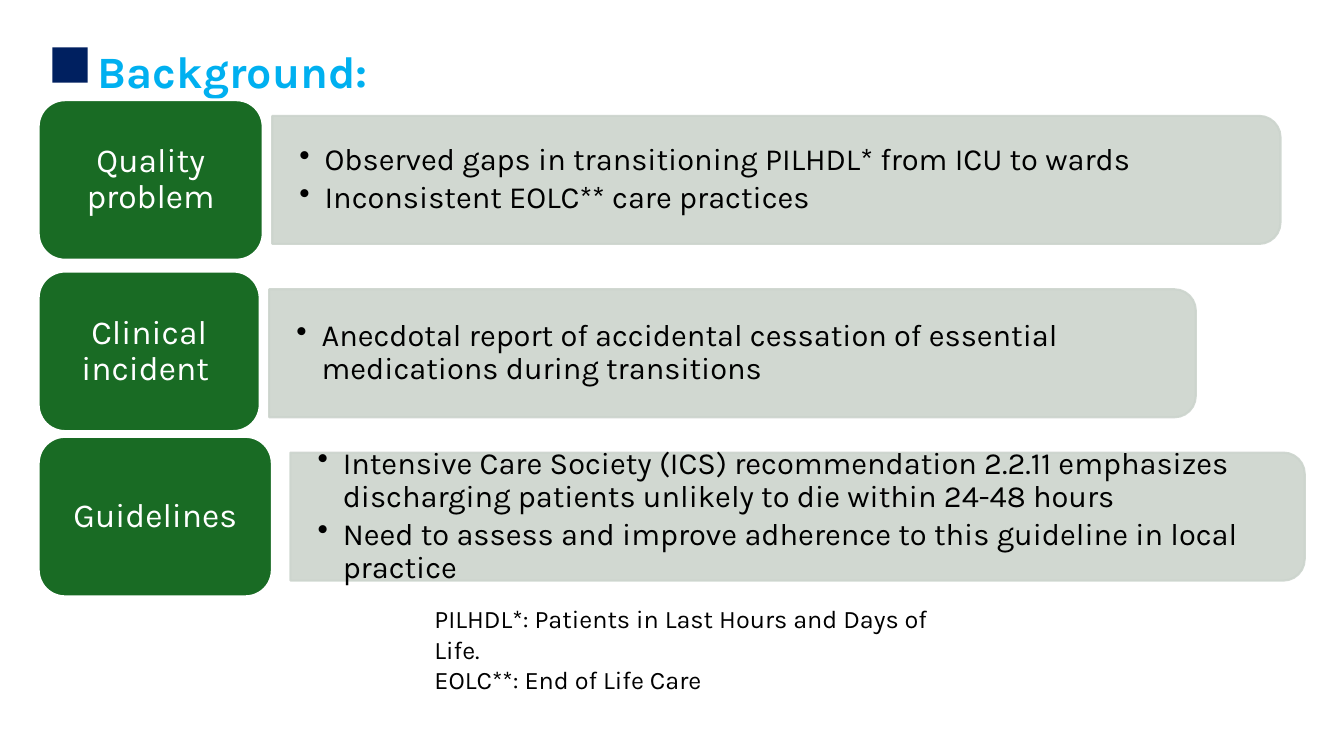
from lxml import etree
from pptx import Presentation
from pptx.dml.color import RGBColor
from pptx.enum import shapes, text
from pptx.oxml import ns
from pptx.util import Inches, Pt

NAVY = RGBColor(0x00, 0x20, 0x60)
SKY = RGBColor(0x00, 0xB0, 0xF0)
GREEN = RGBColor(0x19, 0x6B, 0x24)
SAGE = RGBColor(0xCC, 0xD4, 0xCD)
WHITE = RGBColor(0xFF, 0xFF, 0xFF)
BLACK = RGBColor(0x00, 0x00, 0x00)
FONT = "Karla"

TITLE = "Background:"
ROWS = [
    dict(label="Quality problem", label_top=0.99, label_width=2.23,
         panel=(2.7, 1.15, 10.0), text_width=9.94,
         points=["Observed gaps in transitioning PILHDL* from ICU to wards",
                 "Inconsistent EOLC** care practices"]),
    dict(label="Clinical incident ", label_top=2.69, label_width=2.2,
         panel=(2.67, 2.87, 9.19), text_width=9.13,
         points=["Anecdotal report of accidental cessation of essential "
                 "medications during transitions"]),
    dict(label="Guidelines", label_top=4.33, label_width=2.32,
         panel=(2.88, 4.49, 10.06), text_width=10.0,
         points=["Intensive Care Society (ICS) recommendation 2.2.11 emphasizes "
                 "discharging patients unlikely to die within 24-48 hours",
                 "Need to assess and improve adherence to this guideline in "
                 "local practice"]),
]
FOOTNOTES = ["PILHDL*: Patients in Last Hours and Days of Life.",
             "EOLC**: End of Life Care"]

LABEL_LEFT, LABEL_HEIGHT = 0.38, 1.59
PANEL_HEIGHT, TEXT_HEIGHT = 1.27, 1.15


def write(shape, lines, size, color, bold=False, align=text.PP_ALIGN.LEFT,
          anchor=text.MSO_ANCHOR.TOP, spacing=None, after=0, bullet=False,
          insets=(0.1, 0.05)):
    frame = shape.text_frame
    frame.word_wrap = True
    frame.vertical_anchor = anchor
    frame.margin_left = frame.margin_right = Inches(insets[0])
    frame.margin_top = frame.margin_bottom = Inches(insets[1])
    for index, line in enumerate(lines):
        paragraph = frame.add_paragraph() if index else frame.paragraphs[0]
        paragraph.alignment = align
        paragraph.line_spacing = spacing
        paragraph.space_after = Pt(after)
        if bullet:
            paragraph.level = 1
            properties = paragraph._p.get_or_add_pPr()
            properties.set("marL", str(Inches(0.25)))
            properties.set("indent", str(-Inches(0.25)))
            etree.SubElement(properties, ns.qn("a:buChar")).set("char", "•")
        run = paragraph.add_run()
        run.text = line
        run.font.size = Pt(size)
        run.font.name = FONT
        run.font.bold = bold
        run.font.color.rgb = color


def add_box(slide, left, top, width, height):
    return slide.shapes.add_textbox(Inches(left), Inches(top),
                                    Inches(width), Inches(height))


def add_block(slide, kind, left, top, width, height, fill, line=None, weight=0):
    shape = slide.shapes.add_shape(kind, Inches(left), Inches(top),
                                   Inches(width), Inches(height))
    shape.shadow.inherit = False
    shape.fill.solid()
    shape.fill.fore_color.rgb = fill
    if line is None:
        shape.line.fill.background()
    else:
        shape.line.color.rgb = line
        shape.line.width = Pt(weight)
    return shape


def add_panel(slide, left, top, width):
    center_x, center_y = left + width / 2, top + PANEL_HEIGHT / 2
    panel = add_block(slide, shapes.MSO_SHAPE.ROUND_2_SAME_RECTANGLE,
                      center_x - PANEL_HEIGHT / 2, center_y - width / 2,
                      PANEL_HEIGHT, width, SAGE, SAGE, 1.5)
    panel.rotation = 90
    for color in panel._element.spPr.iter(ns.qn("a:srgbClr")):
        etree.SubElement(color, ns.qn("a:alpha")).set("val", "90000")


def add_row(slide, row):
    left, top, width = row["panel"]
    add_panel(slide, left, top, width)
    points = add_box(slide, left, top + (PANEL_HEIGHT - TEXT_HEIGHT) / 2,
                     row["text_width"], TEXT_HEIGHT)
    write(points, row["points"], 22, BLACK, anchor=text.MSO_ANCHOR.MIDDLE,
          spacing=0.9, after=3.3, bullet=True, insets=(0.27, 0.14))
    label = add_block(slide, shapes.MSO_SHAPE.ROUNDED_RECTANGLE, LABEL_LEFT,
                      row["label_top"], row["label_width"], LABEL_HEIGHT,
                      GREEN, WHITE, 2)
    write(label, [row["label"]], 24, WHITE, align=text.PP_ALIGN.CENTER,
          anchor=text.MSO_ANCHOR.MIDDLE, spacing=0.9, after=8.4)


def main():
    presentation = Presentation()
    presentation.slide_width = Inches(13.33)
    presentation.slide_height = Inches(7.5)
    slide = presentation.slides.add_slide(presentation.slide_layouts[6])

    add_block(slide, shapes.MSO_SHAPE.RECTANGLE, 0.52, 0.47, 0.35, 0.35, NAVY)
    write(add_box(slide, 0.87, 0.44, 12.4, 0.67), [TITLE], 32, SKY,
          bold=True, spacing=0.9)
    for row in ROWS:
        add_row(slide, row)
    footnote = add_box(slide, 4.21, 5.94, 5.48, 0.71)
    write(footnote, FOOTNOTES, 18, BLACK)
    footnote.text_frame.auto_size = text.MSO_AUTO_SIZE.SHAPE_TO_FIT_TEXT

    presentation.save("out.pptx")


if __name__ == "__main__":
    main()
